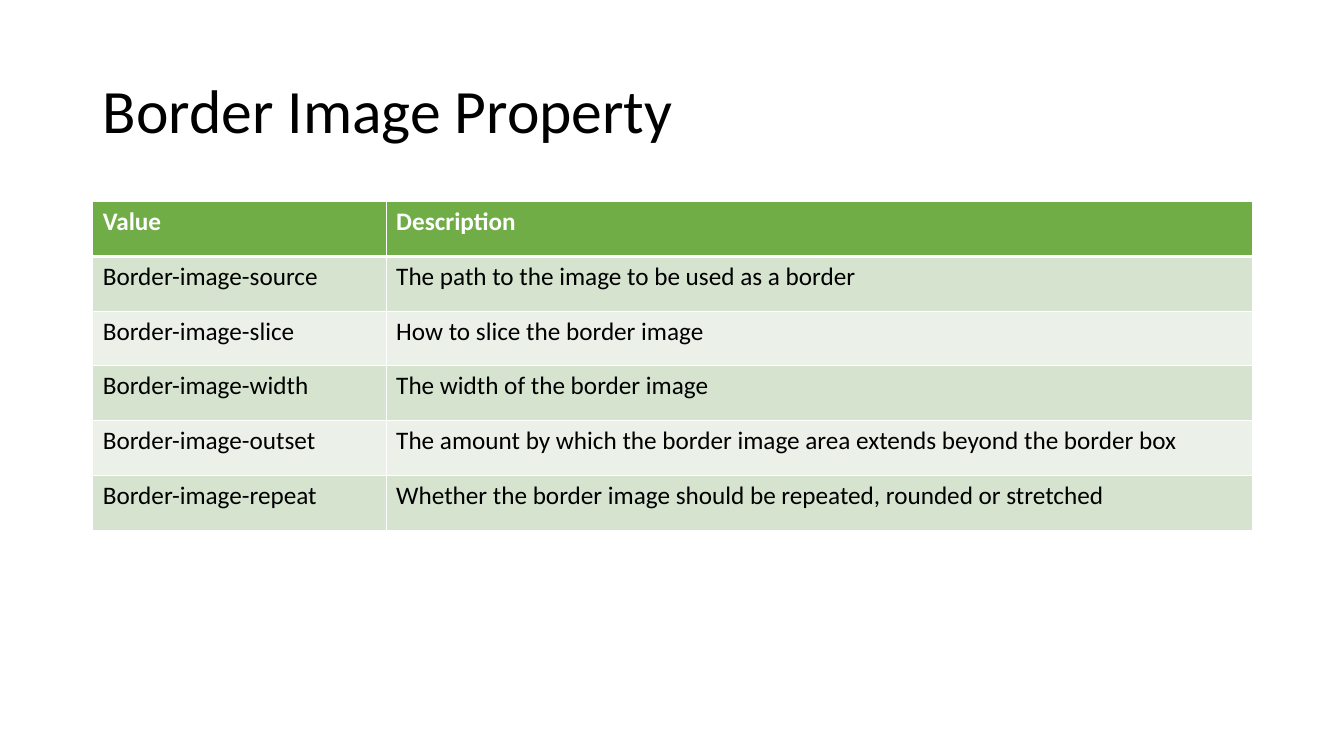
import dataclasses

import lxml.etree
import pptx
import pptx.dml.color
import pptx.enum.text
import pptx.oxml.ns
import pptx.slide
import pptx.table
import pptx.text.text
import pptx.util


@dataclasses.dataclass(frozen=True)
class Theme:
    font: str = "Calibri"
    title_size: int = 44
    table_size: int = 18
    ink: str = "000000"
    paper: str = "FFFFFF"
    header: str = "70AD47"
    bands: tuple[str, str] = ("D5E3CF", "EBF1E9")
    rule: float = 1
    header_rule: float = 3


@dataclasses.dataclass(frozen=True)
class PropertyRow:
    value: str
    description: str


THEME = Theme()
PAGE_WIDTH = pptx.util.Inches(13.33)
PAGE_HEIGHT = pptx.util.Inches(7.5)
MARGIN = 0.92 / 13.33
CONTENT_WIDTH = 11.5 / 13.33
TITLE_TOP, TITLE_HEIGHT = 0.4 / 7.5, 1.45 / 7.5
TABLE_TOP, TABLE_HEIGHT = 2 / 7.5, 3.26 / 7.5
VALUE_COLUMN_SHARE = 2.91 / 11.5

HEADING = PropertyRow("Value", "Description")
PROPERTIES = (
    PropertyRow("Border-image-source", "The path to the image to be used as a border"),
    PropertyRow("Border-image-slice", "How to slice the border image"),
    PropertyRow("Border-image-width", "The width of the border image"),
    PropertyRow("Border-image-outset", "The amount by which the border image area extends beyond the border box"),
    PropertyRow("Border-image-repeat", "Whether the border image should be repeated, rounded or stretched"),
)


def across(share: float) -> int:
    return round(PAGE_WIDTH * share)


def down(share: float) -> int:
    return round(PAGE_HEIGHT * share)


def color(code: str) -> pptx.dml.color.RGBColor:
    return pptx.dml.color.RGBColor.from_string(code)


def add_span(para: pptx.text.text._Paragraph, text: str, size: int, ink: str, bold: bool = False) -> None:
    span = para.add_run()
    span.text = text
    span.font.name = THEME.font
    span.font.size = pptx.util.Pt(size)
    span.font.bold = bold
    span.font.color.rgb = color(ink)


def add_title(page: pptx.slide.Slide, text: str) -> None:
    box = page.shapes.add_textbox(across(MARGIN), down(TITLE_TOP), across(CONTENT_WIDTH), down(TITLE_HEIGHT))
    frame = box.text_frame
    frame.word_wrap = True
    frame.vertical_anchor = pptx.enum.text.MSO_ANCHOR.MIDDLE
    para = frame.paragraphs[0]
    para.line_spacing = 0.9
    add_span(para, text, THEME.title_size, THEME.ink)


def draw_borders(cell: pptx.table._Cell, top: float, bottom: float) -> None:
    """Rule all four sides; must run before the cell is filled."""
    properties = cell._tc.get_or_add_tcPr()
    name = pptx.oxml.ns.qn
    for side, points in (("L", THEME.rule), ("R", THEME.rule), ("T", top), ("B", bottom)):
        line = lxml.etree.SubElement(properties, name(f"a:ln{side}"), w=str(pptx.util.Pt(points)))
        fill = lxml.etree.SubElement(line, name("a:solidFill"))
        lxml.etree.SubElement(fill, name("a:srgbClr"), val=THEME.paper)


def fill_row(table: pptx.table.Table, index: int, row: PropertyRow) -> None:
    is_header = index == 0
    background = THEME.header if is_header else THEME.bands[(index - 1) % 2]
    ink = THEME.paper if is_header else THEME.ink
    top = THEME.header_rule if index == 1 else THEME.rule
    bottom = THEME.header_rule if is_header else THEME.rule
    for column, text in enumerate((row.value, row.description)):
        cell = table.cell(index, column)
        draw_borders(cell, top, bottom)
        cell.fill.solid()
        cell.fill.fore_color.rgb = color(background)
        add_span(cell.text_frame.paragraphs[0], text, THEME.table_size, ink, is_header)


def add_property_table(page: pptx.slide.Slide) -> None:
    rows = (HEADING, *PROPERTIES)
    width = across(CONTENT_WIDTH)
    table = page.shapes.add_table(
        len(rows), 2, across(MARGIN), down(TABLE_TOP), width, down(TABLE_HEIGHT)
    ).table
    table.columns[0].width = round(width * VALUE_COLUMN_SHARE)
    table.columns[1].width = width - table.columns[0].width
    for index, row in enumerate(rows):
        fill_row(table, index, row)


def main() -> None:
    deck = pptx.Presentation()
    deck.slide_width = PAGE_WIDTH
    deck.slide_height = PAGE_HEIGHT
    page = deck.slides.add_slide(deck.slide_layouts[6])
    add_title(page, "Border Image Property")
    add_property_table(page)
    deck.save("out.pptx")


if __name__ == "__main__":
    main()
